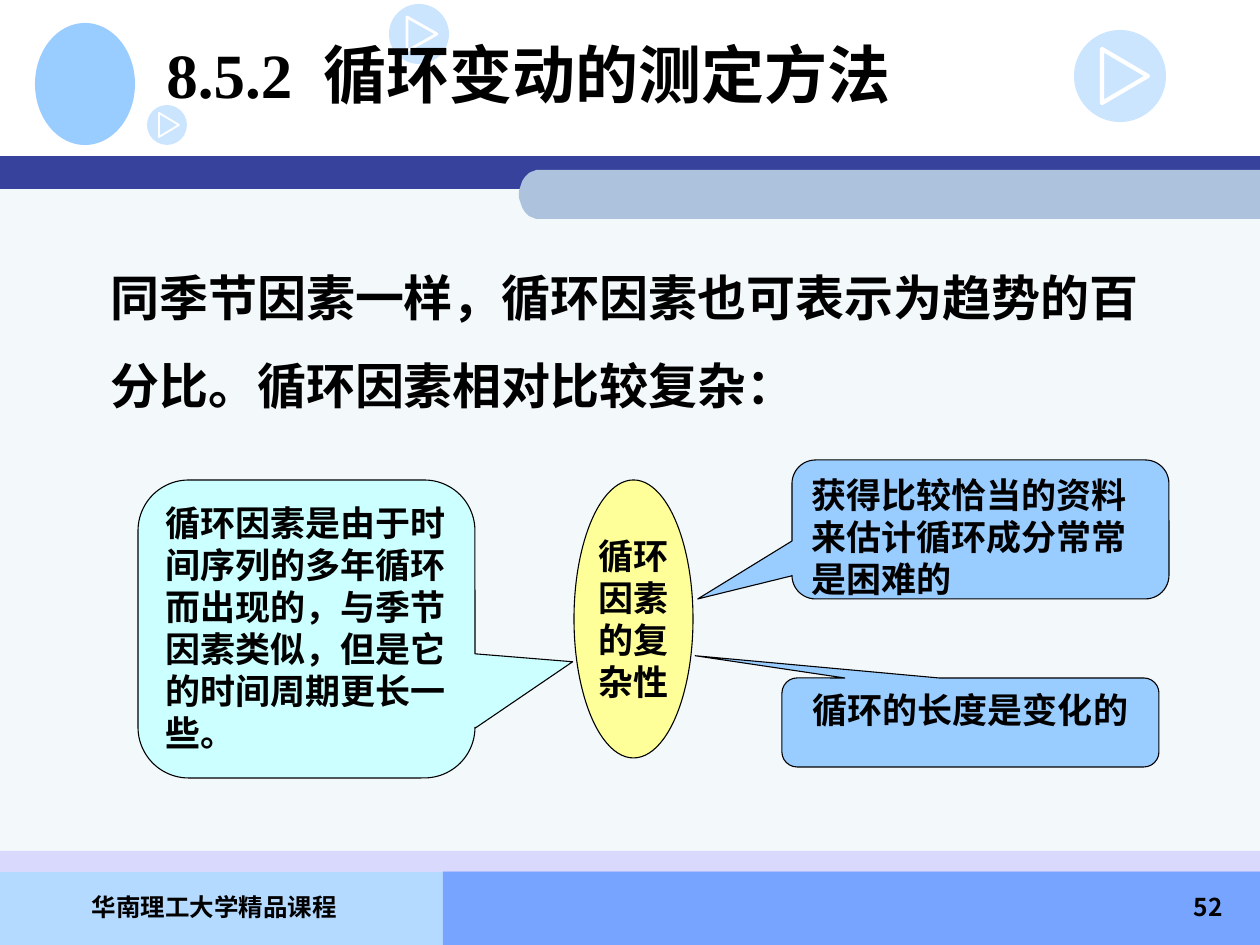
from dataclasses import dataclass
from math import cos, pi, sin
from typing import Optional

from lxml import etree
from pptx import Presentation
from pptx.dml.color import RGBColor
from pptx.enum.shapes import MSO_SHAPE
from pptx.enum.text import MSO_ANCHOR, PP_ALIGN
from pptx.oxml.ns import qn
from pptx.util import Emu, Inches, Pt

RECT, OVAL = MSO_SHAPE.RECTANGLE, MSO_SHAPE.OVAL
CALLOUT = MSO_SHAPE.ROUNDED_RECTANGULAR_CALLOUT
TOP, MIDDLE = MSO_ANCHOR.TOP, MSO_ANCHOR.MIDDLE
LEFT, CENTER, RIGHT = PP_ALIGN.LEFT, PP_ALIGN.CENTER, PP_ALIGN.RIGHT
SCALE = Inches(1) / 126
SANS, SANS_KR, SERIF = "Noto Sans CJK SC", "Noto Sans CJK KR", "Times New Roman"
BLACK, WHITE, SKY = "000000", "FFFFFF", "99CCFF"


@dataclass
class Box:
    x: int
    y: int
    w: int
    h: int


@dataclass
class Band:
    box: Box
    fill: str
    alpha: int = 100
    kind: int = RECT


@dataclass
class Label:
    box: Box
    lines: list
    size: int
    font: str = SANS
    align: int = LEFT
    anchor: int = TOP
    spacing: float = 1.0
    wrap: bool = True


@dataclass
class Bubble:
    label: Label
    kind: int
    fill: str
    adjust: tuple = ()


def px(n: float) -> Emu:
    return Emu(round(n * SCALE))


def rgb(color: str) -> RGBColor:
    return RGBColor.from_string(color)


def paint(s, fill: Optional[str], line: Optional[str] = None,
          width: float = 0.62, alpha: int = 100) -> None:
    s.shadow.inherit = False
    if fill:
        s.fill.solid()
        s.fill.fore_color.rgb = rgb(fill)
    else:
        s.fill.background()
    if line:
        s.line.color.rgb = rgb(line)
        s.line.width = Pt(width)
    else:
        s.line.fill.background()
    if alpha < 100:
        clr = s._element.spPr.find(qn("a:solidFill")).find(qn("a:srgbClr"))
        etree.SubElement(clr, qn("a:alpha")).set("val", str(alpha * 1000))


def add_shape(shapes, kind: int, b: Box):
    return shapes.add_shape(kind, px(b.x), px(b.y), px(b.w), px(b.h))


def add_outline(shapes, points: list):
    pen = shapes.build_freeform(*points[0], scale=SCALE)
    pen.add_line_segments(points[1:], close=True)
    return pen.convert_to_shape()


def add_band(shapes, band: Band) -> None:
    paint(add_shape(shapes, band.kind, band.box), band.fill, alpha=band.alpha)


def add_play_icon(shapes, x: int, y: int, d: int) -> None:
    add_band(shapes, Band(Box(x, y, d, d), SKY, 50, OVAL))
    corners = [(x + d * fx, y + d * fy)
               for fx, fy in ((0.3, 0.21), (0.8, 0.5), (0.3, 0.79))]
    paint(add_outline(shapes, corners), None, WHITE, d / 38)


def add_tab(shapes, x: int, y: int, right: int, h: int, rx: int) -> None:
    ry, steps = h / 2, 24
    arc = [(x + rx - rx * sin(pi * i / steps), y + ry - ry * cos(pi * i / steps))
           for i in range(steps + 1)]
    paint(add_outline(shapes, [(right, y), *arc, (right, y + h)]), "ADC3DD")


def add_run(p, text: str, size: int, font: str):
    r = p.add_run()
    r.text = text
    for name, value in {"size": Pt(size), "bold": True, "name": font}.items():
        setattr(r.font, name, value)
    r.font.color.rgb = rgb(BLACK)
    east = SANS if font == SERIF else font
    etree.SubElement(r._r.get_or_add_rPr(), qn("a:ea")).set("typeface", east)
    return r


def write(s, label: Label) -> None:
    tf = s.text_frame
    for name, value in {"word_wrap": label.wrap,
                        "vertical_anchor": label.anchor}.items():
        setattr(tf, name, value)
    for i, line in enumerate(label.lines):
        p = tf.add_paragraph() if i else tf.paragraphs[0]
        p.alignment, p.line_spacing = label.align, label.spacing
        add_run(p, line, label.size, label.font)


def add_label(shapes, label: Label):
    b = label.box
    s = shapes.add_textbox(px(b.x), px(b.y), px(b.w), px(b.h))
    write(s, label)
    return s


def add_bubble(shapes, bubble: Bubble) -> None:
    s = add_shape(shapes, bubble.kind, bubble.label.box)
    for i, value in enumerate(bubble.adjust):
        s.adjustments[i] = value
    paint(s, bubble.fill, BLACK)
    write(s, bubble.label)


BANDS = [
    Band(Box(0, 872, 536, 73), "B5DAFF"),
    Band(Box(443, 871, 817, 74), "77A4FF"),
    Band(Box(0, 176, 1261, 695), "F3F8FB"),
    Band(Box(0, 156, 1261, 33), "36429B"),
    Band(Box(0, 851, 1261, 21), "CCCCFF", 69),
    Band(Box(35, 23, 100, 122), SKY, kind=OVAL),
]
PLAY_ICONS = [(389, 4, 60), (1074, 30, 92), (147, 105, 40)]
LABELS = [
    Label(Box(15, 886, 399, 63), ["华南理工大学精品课程"], 14, SANS_KR, CENTER),
    Label(Box(973, 886, 262, 63), ["52"], 14, align=RIGHT),
    Label(Box(98, 232, 1053, 189),
          ["同季节因素一样，循环因素也可表示为趋势的百分比。循环因素相对比较复杂："],
          28, anchor=MIDDLE, spacing=1.5),
]
BUBBLES = [
    Bubble(Label(Box(574, 480, 119, 278), ["循环", "因素", "的复", "杂性"], 20,
                 align=CENTER, anchor=MIDDLE, wrap=False), OVAL, "FFFF99"),
    Bubble(Label(Box(138, 480, 337, 298),
                 ["循环因素是由于时间序列的多年循环而出现的，与季节因素类似，"
                  "但是它的时间周期更长一些。"], 20),
           CALLOUT, "CCFFFF", (0.79, 0.11, 0.17)),
    Bubble(Label(Box(792, 460, 377, 139),
                 ["获得比较恰当的资料来估计循环成分常常是困难的"], 20),
           CALLOUT, SKY, (-0.75, 0.5, 0.17)),
    Bubble(Label(Box(782, 678, 377, 89), ["循环的长度是变化的"], 20, align=CENTER),
           CALLOUT, SKY, (-0.73, -0.75, 0.17)),
]
TITLE = Label(Box(154, 0, 1071, 147), ["8.5.2"], 36, SERIF, anchor=MIDDLE)


def main() -> None:
    prs = Presentation()
    prs.slide_width, prs.slide_height = Inches(10), Inches(7.5)
    shapes = prs.slides.add_slide(prs.slide_layouts[6]).shapes
    for band in BANDS:
        add_band(shapes, band)
    add_tab(shapes, 519, 170, 1261, 49, 20)
    for icon in PLAY_ICONS:
        add_play_icon(shapes, *icon)
    for label in LABELS:
        add_label(shapes, label)
    for bubble in BUBBLES:
        add_bubble(shapes, bubble)
    p = add_label(shapes, TITLE).text_frame.paragraphs[0]
    gap = add_run(p, " ", TITLE.size, SERIF)
    gap._r.get_or_add_rPr().set("spc", "900")
    add_run(p, "循环变动的测定方法", TITLE.size, SERIF)
    prs.save("out.pptx")


if __name__ == "__main__":
    main()
